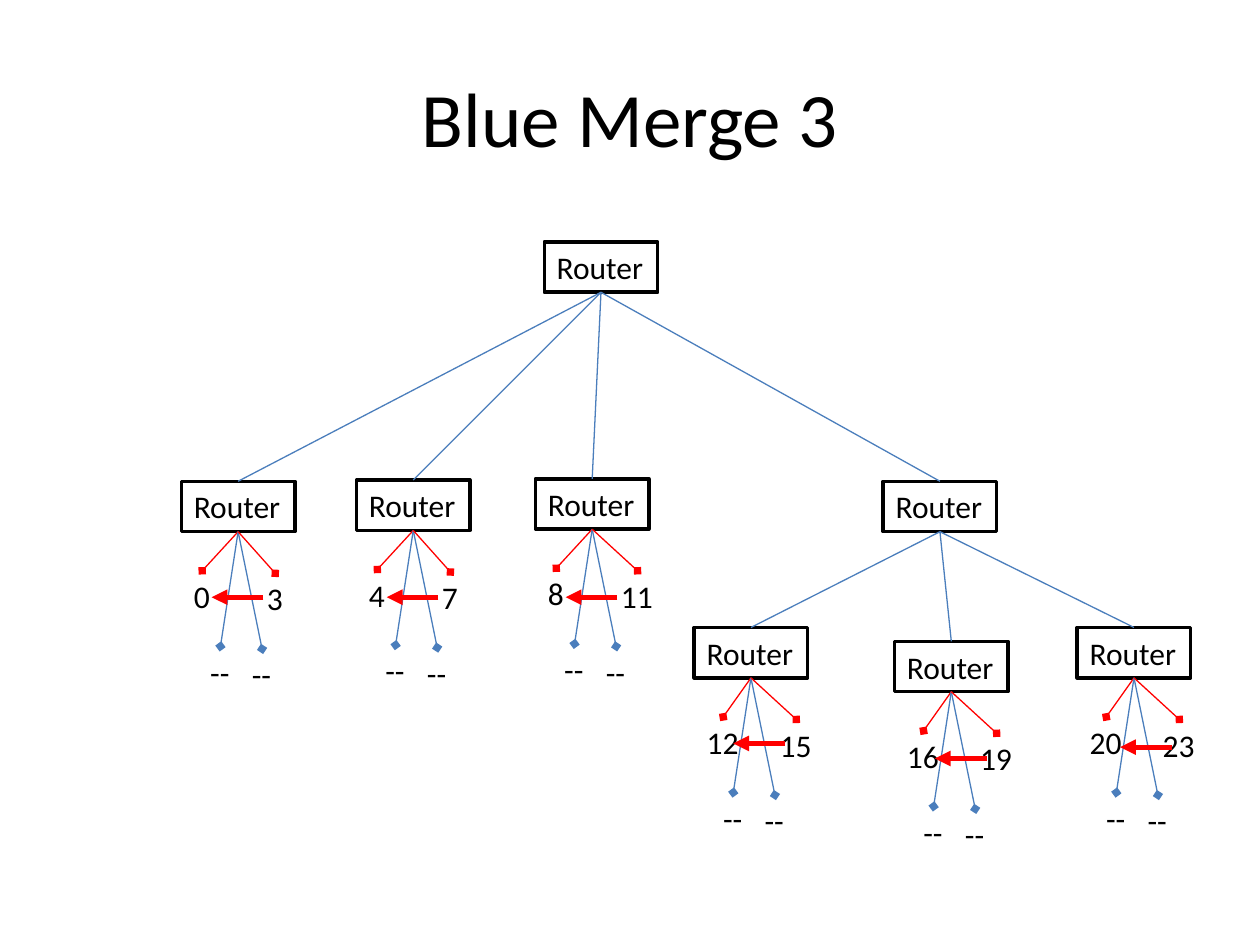
from dataclasses import dataclass

from pptx import Presentation
from pptx.dml.color import RGBColor
from pptx.enum.dml import MSO_THEME_COLOR
from pptx.enum.shapes import MSO_CONNECTOR, MSO_SHAPE
from pptx.enum.text import MSO_ANCHOR, MSO_AUTO_SIZE, PP_ALIGN
from pptx.oxml.ns import qn
from pptx.oxml.xmlchemy import OxmlElement
from pptx.util import Inches, Pt

RECT = MSO_SHAPE.RECTANGLE
STRAIGHT = MSO_CONNECTOR.STRAIGHT
LEFT, CENTER = PP_ALIGN.LEFT, PP_ALIGN.CENTER
TOP, MIDDLE = MSO_ANCHOR.TOP, MSO_ANCHOR.MIDDLE
FIT = MSO_AUTO_SIZE.SHAPE_TO_FIT_TEXT
SITE_TOP, SITE_BOTTOM = 0, 2


@dataclass(frozen=True)
class Theme:
    """Colours, font and sizes of the slide."""
    black: RGBColor = RGBColor(0x00, 0x00, 0x00)
    white: RGBColor = RGBColor(0xFF, 0xFF, 0xFF)
    blue: RGBColor = RGBColor(0x4B, 0x7E, 0xBC)
    red: RGBColor = RGBColor(0xFF, 0x00, 0x00)
    font: str = "Calibri"
    title: int = 44
    body: int = 18
    border: float = 2
    thin: float = 0.75
    thick: float = 3


THEME = Theme()
ROUTER_W, ROW_H = 0.9, 0.4
DIGIT_W, PAIR_W, DASH_W = 0.33, 0.46, 0.36
MERGE_LENGTH = 0.41

ROOT = (4.32, 1.92)
HUB = (7.01, 3.82)
# left, top, low label, high label, merge arrow start and height
ROOT_GROUPS = [
    (1.44, 3.82, "0", "3", 2.09, 4.74),
    (2.83, 3.81, "4", "7", 3.48, 4.74),
    (4.25, 3.80, "8", "11", 4.90, 4.74),
]
HUB_GROUPS = [
    (5.51, 4.98, "12", "15", 6.23, 5.90),
    (7.10, 5.09, "16", "19", 7.83, 6.02),
    (8.55, 4.98, "20", "23", 9.30, 5.93),
]


def write(tf, text, size, align, anchor):
    """Write one run of text into a frame."""
    tf.vertical_anchor = anchor
    p = tf.paragraphs[0]
    p.alignment = align
    r = p.add_run()
    r.text = text
    r.font.name = THEME.font
    r.font.size = Pt(size)
    r.font.color.rgb = THEME.black


def add_label(s, x, y, w, text):
    """Add a text box that keeps its text on one line."""
    sp = s.shapes.add_textbox(Inches(x), Inches(y), Inches(w), Inches(ROW_H))
    sp.text_frame.word_wrap = False
    sp.text_frame.auto_size = FIT
    write(sp.text_frame, text, THEME.body, LEFT, TOP)
    return sp


def add_router(s, x, y):
    """Add a white router box with a black border."""
    sp = s.shapes.add_shape(RECT, Inches(x), Inches(y), Inches(ROUTER_W), Inches(ROW_H))
    sp.shadow.inherit = False
    sp.fill.solid()
    sp.fill.fore_color.rgb = THEME.white
    sp.line.color.rgb = THEME.black
    sp.line.width = Pt(THEME.border)
    sp.text_frame.word_wrap = False
    sp.text_frame.auto_size = FIT
    write(sp.text_frame, "Router", THEME.body, LEFT, TOP)
    return sp


def add_line(s, start, end, color, width, tail=None):
    """Add a straight connector with an optional end mark."""
    c = s.shapes.add_connector(STRAIGHT, *map(Inches, start + end))
    c.line.color.rgb = color
    c.line.width = Pt(width)
    sp_pr = c.element.spPr
    if tail:
        mark = OxmlElement("a:tailEnd")
        mark.set("type", tail)
        sp_pr.find(qn("a:ln")).append(mark)
    sp_pr.append(OxmlElement("a:effectLst"))
    return c


def link(s, parent, child, color, tail=None):
    """Join the bottom of a parent to the top of its child."""
    c = add_line(s, (0, 0), (0, 0), color, THEME.thin, tail)
    c.begin_connect(parent, SITE_BOTTOM)
    c.end_connect(child, SITE_TOP)


def add_group(s, x, y, low, high):
    """Add a router with its two numbers and two empty slots."""
    router = add_router(s, x, y)
    leaves = [
        (0, 0.71, low, THEME.red),
        (0.13, 1.31, "--", THEME.blue),
        (0.46, 1.33, "--", THEME.blue),
        (0.58, 0.73, high, THEME.red),
    ]
    for dx, dy, text, color in leaves:
        w = DASH_W if text == "--" else (DIGIT_W, PAIR_W)[len(text) - 1]
        link(s, router, add_label(s, x + dx, y + dy, w, text), color, "diamond")
    return router


def add_title(s, text):
    """Place and fill the title placeholder."""
    sp = s.shapes.title
    sp.left, sp.top, sp.width, sp.height = map(Inches, (0.5, 0.3, 9, 1.25))
    write(sp.text_frame, text, THEME.title, CENTER, MIDDLE)


def main():
    """Build the router tree and save it."""
    prs = Presentation()
    prs.slide_width, prs.slide_height = Inches(10), Inches(7.5)
    s = prs.slides.add_slide(prs.slide_layouts[5])
    add_title(s, "Blue Merge 3")

    root, hub = add_router(s, *ROOT), add_router(s, *HUB)
    link(s, root, hub, THEME.blue)
    for parent, groups in ((root, ROOT_GROUPS), (hub, HUB_GROUPS)):
        for x, y, low, high, _, _ in groups:
            link(s, parent, add_group(s, x, y, low, high), THEME.blue)
    for *_, x, y in ROOT_GROUPS + HUB_GROUPS:
        add_line(s, (x, y), (x - MERGE_LENGTH, y), THEME.red, THEME.thick, "triangle")

    prs.save("out.pptx")


if __name__ == "__main__":
    main()
